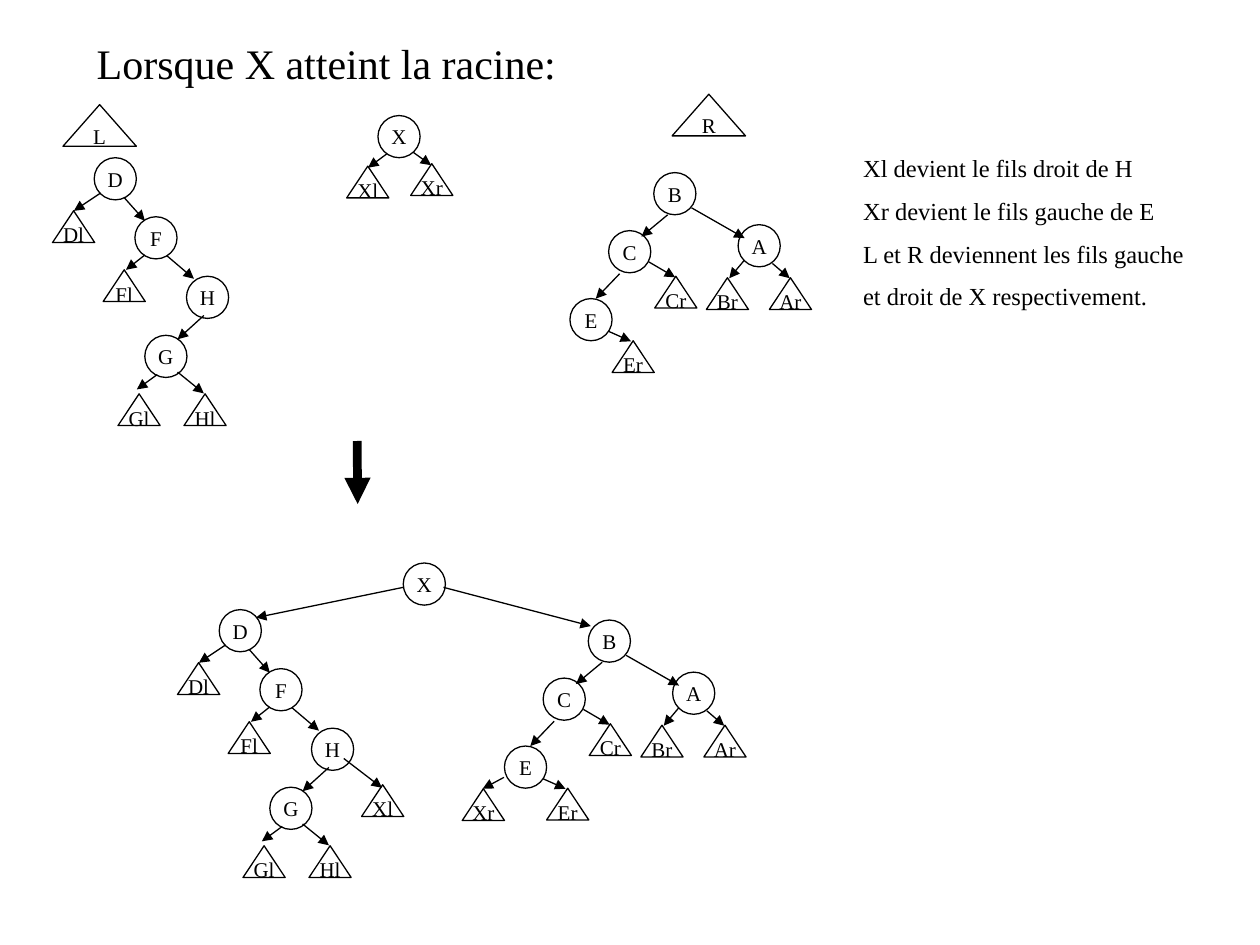
"""Splay tree slide: joining the L, X and R trees once X reaches the root."""
from lxml.etree import SubElement
from pptx import Presentation
from pptx.dml.color import RGBColor
from pptx.enum.shapes import MSO_CONNECTOR as Connector, MSO_SHAPE as Preset
from pptx.enum.text import MSO_ANCHOR as Anchor, MSO_AUTO_SIZE as AutoSize, PP_ALIGN as Align
from pptx.oxml.ns import qn
from pptx.util import Cm, Pt

FONT = "Times New Roman"
INK, PAPER = "000000", "FFFFFF"
CIRCLE, LEAF, SUBTREE = (0.85, 0.85), (0.85, 0.64), (1.48, 0.84)

TITLE = ["Lorsque X atteint la racine:"]
RULES = [
    "Xl devient le fils droit de H",
    "Xr devient le fils gauche de E",
    "L et R deviennent les fils gauche",
    "et droit de X respectivement.",
]
SUBTREES = [("L", 1.27, 2.11), ("R", 13.55, 1.9)]
LEFT_TREE = {
    "nodes": [("D", 0, 0), ("F", 0.82, 1.19), ("H", 1.86, 2.39), ("G", 1.02, 3.58),
              ("Dl", -0.84, 1.07), ("Fl", 0.18, 2.26), ("Gl", 0.48, 4.76), ("Hl", 1.81, 4.76)],
    "edges": [(0.13, 0.71, -0.41, 1.07), (0.61, 0.81, 1.02, 1.27), (1.02, 1.96, 0.64, 2.26),
              (1.47, 1.98, 2.01, 2.44), (2.21, 3.18, 1.68, 3.66), (1.27, 4.37, 0.86, 4.67),
              (1.68, 4.32, 2.21, 4.75)],
}
RIGHT_TREE = {
    "nodes": [("B", 0, 0), ("C", -0.91, 1.17), ("A", 1.7, 1.05), ("E", -1.69, 2.54),
              ("Cr", 0.02, 2.09), ("Br", 1.06, 2.12), ("Ar", 2.33, 2.12), ("Er", -0.84, 3.39)],
    "edges": [(0.28, 0.85, -0.25, 1.29), (0.76, 0.71, 1.83, 1.32), (-0.1, 1.8, 0.43, 2.11),
              (1.83, 1.76, 1.52, 2.13), (2.39, 1.83, 2.74, 2.13), (-0.69, 2.04, -1.17, 2.54),
              (-0.91, 3.2, -0.46, 3.4)],
}
MIDDLE_TREE = {
    "nodes": [("X", 7.62, 2.33), ("Xl", 6.99, 3.35), ("Xr", 8.28, 3.3)],
    "edges": [(7.8, 3.1, 7.42, 3.38), (8.33, 3.07, 8.69, 3.33)],
}
JOINING_PARTS = {
    "nodes": [("X", 8.13, 11.35), ("Xl", 7.29, 15.82), ("Xr", 9.32, 15.9)],
    "edges": [(8.13, 11.84, 5.16, 12.45), (8.94, 11.84, 11.91, 12.62),
              (6.93, 15.29, 7.7, 15.88), (10.16, 15.67, 9.73, 15.9)],
}
PLACED_TREES = [
    (LEFT_TREE, 1.9, 3.18), (MIDDLE_TREE, 0, 0), (RIGHT_TREE, 13.18, 3.48),
    (LEFT_TREE, 4.42, 12.29), (JOINING_PARTS, 0, 0), (RIGHT_TREE, 11.86, 12.5),
]


def color(value):
    return RGBColor.from_string(value)


def set_font(paragraph, size):
    paragraph.font.name = FONT
    paragraph.font.size = Pt(size)
    paragraph.font.color.rgb = color(INK)


def add_text(slide, lines, box, size, gap=0):
    frame = slide.shapes.add_textbox(*map(Cm, box)).text_frame
    frame.word_wrap = True
    frame.auto_size = AutoSize.SHAPE_TO_FIT_TEXT
    for index, line in enumerate(lines):
        paragraph = frame.add_paragraph() if index else frame.paragraphs[0]
        paragraph.text = line
        paragraph.space_before = Pt(gap if index else 0)
        set_font(paragraph, size)


def add_node(shapes, preset, label, left, top, size):
    shape = shapes.add_shape(preset, *map(Cm, (left, top, *size)))
    shape.shadow.inherit = False
    shape.fill.solid()
    shape.fill.fore_color.rgb = color(PAPER)
    shape.line.color.rgb = color(INK)
    shape.line.width = Pt(0.75)
    frame = shape.text_frame
    frame.word_wrap = False
    frame.vertical_anchor = Anchor.MIDDLE
    paragraph = frame.paragraphs[0]
    paragraph.text = label
    paragraph.alignment = Align.CENTER
    set_font(paragraph, 12)


def add_arrow(shapes, ends, width=0.75):
    arrow = shapes.add_connector(Connector.STRAIGHT, *map(Cm, ends))
    arrow.line.color.rgb = color(INK)
    arrow.line.width = Pt(width)
    SubElement(arrow.line._get_or_add_ln(), qn("a:tailEnd"), type="triangle")
    SubElement(arrow._element.spPr, qn("a:effectLst"))


def add_tree(slide, tree, left, top):
    shapes = slide.shapes.add_group_shape().shapes
    for label, x, y in tree["nodes"]:
        is_leaf = len(label) == 2
        preset, size = (Preset.FLOWCHART_EXTRACT, LEAF) if is_leaf else (Preset.OVAL, CIRCLE)
        add_node(shapes, preset, label, left + x, top + y, size)
    for x1, y1, x2, y2 in tree["edges"]:
        add_arrow(shapes, (left + x1, top + y1, left + x2, top + y2))


def main():
    presentation = Presentation()
    presentation.slide_width, presentation.slide_height = Cm(25.4), Cm(19.05)
    slide = presentation.slides.add_slide(presentation.slide_layouts[6])
    add_text(slide, TITLE, (1.7, 0.64, 9.96, 1.27), 24)
    add_text(slide, RULES, (17.15, 2.97, 8.25, 3.5), 14, 7.5)
    for label, left, top in SUBTREES:
        add_node(slide.shapes, Preset.FLOWCHART_EXTRACT, label, left, top, SUBTREE)
    for tree, left, top in PLACED_TREES:
        add_tree(slide, tree, left, top)
    add_arrow(slide.shapes, (7.2, 8.89, 7.21, 10.16), 5)
    presentation.save("out.pptx")


if __name__ == "__main__":
    main()
